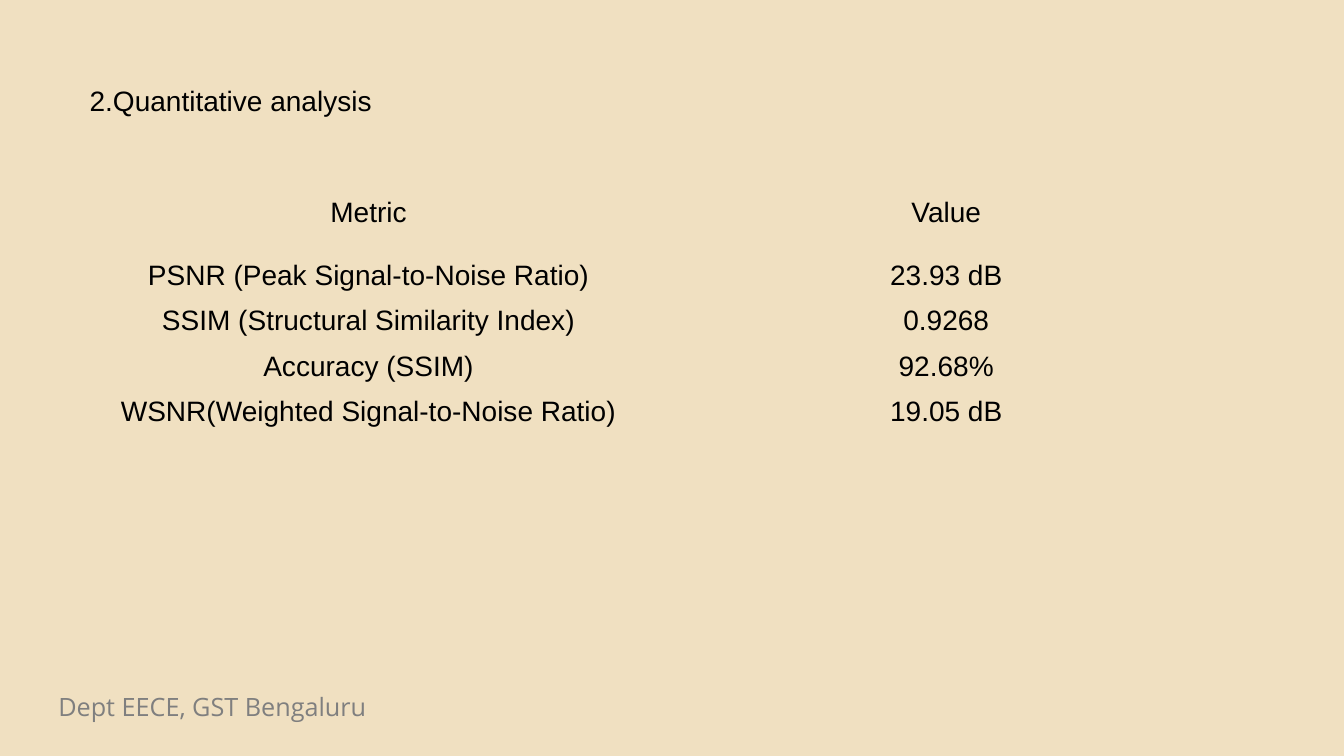
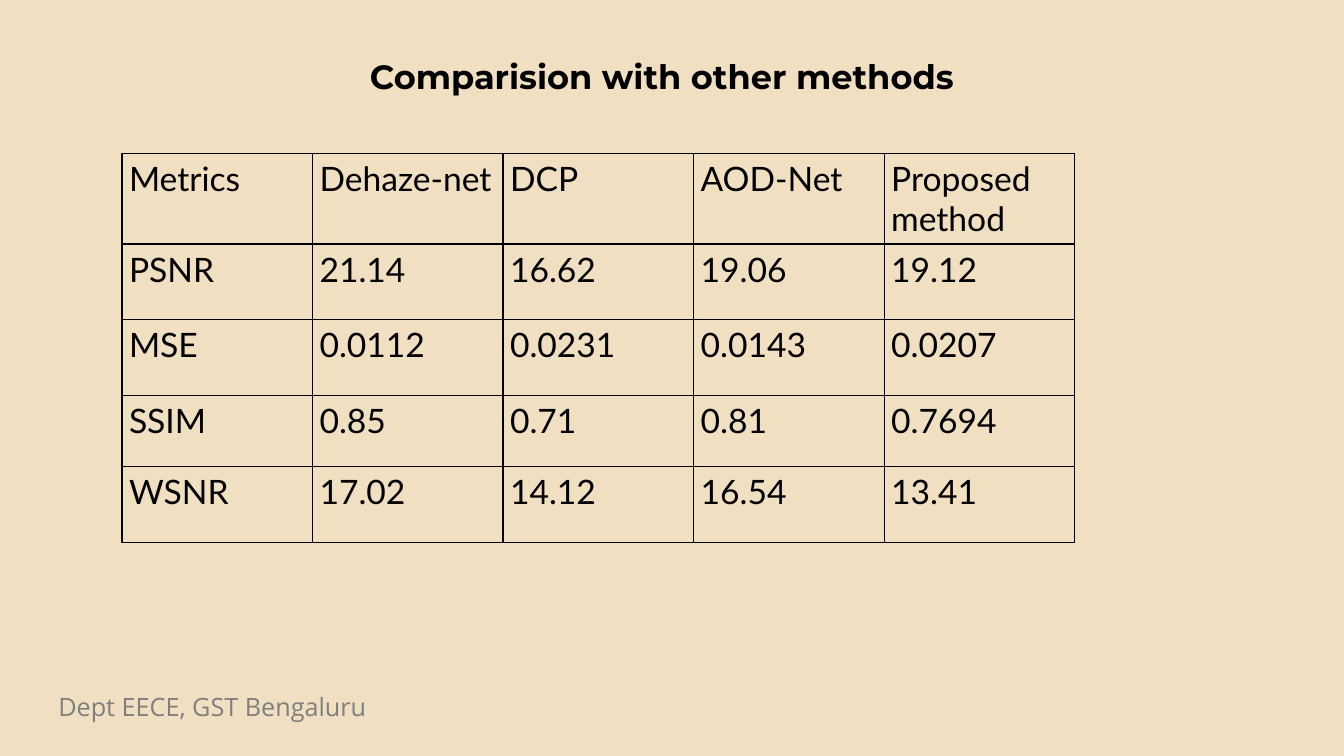
import lxml.etree
import pptx
import pptx.dml.color
import pptx.enum.text
import pptx.oxml.ns
import pptx.util
from pptx.util import Inches

COLORS = {"background": "F0E0C1", "text": "000000", "footer": "7F7F7F"}
BORDER_TAGS = ("a:lnL", "a:lnR", "a:lnT", "a:lnB")
LEFT = pptx.enum.text.PP_ALIGN.LEFT
CENTER = pptx.enum.text.PP_ALIGN.CENTER

QUANTITATIVE_ROWS = [
    ("Metric", "Value"),
    ("PSNR (Peak Signal-to-Noise Ratio)", "23.93 dB"),
    ("SSIM (Structural Similarity Index)", "0.9268"),
    ("Accuracy (SSIM)", "92.68%"),
    ("WSNR(Weighted Signal-to-Noise Ratio)", "19.05 dB"),
]
COMPARISON_ROWS = [
    ("Metrics", "Dehaze-net", "DCP", "AOD-Net", "Proposed method"),
    ("PSNR", "21.14", "16.62", "19.06", "19.12"),
    ("MSE", "0.0112", "0.0231", "0.0143", "0.0207"),
    ("SSIM", "0.85", "0.71", "0.81", "0.7694"),
    ("WSNR", "17.02", "14.12", "16.54", "13.41"),
]


def write_text(text_frame, text, font_name, size, color="text", bold=False,
               alignment=LEFT):
    """Fill a text frame with one formatted paragraph."""
    text_frame.text = text
    paragraph = text_frame.paragraphs[0]
    paragraph.alignment = alignment
    font = paragraph.runs[0].font
    font.name = font_name
    font.size = pptx.util.Pt(size)
    font.bold = bold
    font.color.rgb = pptx.dml.color.RGBColor.from_string(COLORS[color])


def add_text(slide, box, text, font_name, size, **style):
    """Place a one-line text box; box is left, top, width, height in inches."""
    shape = slide.shapes.add_textbox(*map(Inches, box))
    shape.text_frame.word_wrap = True
    write_text(shape.text_frame, text, font_name, size, **style)


def set_cell_borders(cell, border_width):
    """Draw all four borders, or hide them when the width is zero."""
    qualified = pptx.oxml.ns.qn
    properties = cell._tc.get_or_add_tcPr()
    for position, tag in enumerate(BORDER_TAGS):
        line = lxml.etree.Element(qualified(tag))
        line.set("w", str(int(pptx.util.Pt(border_width))))
        if border_width:
            fill = lxml.etree.SubElement(line, qualified("a:solidFill"))
            color = lxml.etree.SubElement(fill, qualified("a:srgbClr"))
            color.set("val", COLORS["text"])
        else:
            lxml.etree.SubElement(line, qualified("a:noFill"))
        properties.insert(position, line)


def add_table(slide, left, top, column_width, row_heights, rows, font_name,
              size, vertical_margin=0, border_width=0, alignment=LEFT):
    """Place an unfilled table with equal columns."""
    column_count = len(rows[0])
    frame = slide.shapes.add_table(
        len(rows), column_count, Inches(left), Inches(top),
        Inches(column_width * column_count), Inches(sum(row_heights)))
    table = frame.table
    table.first_row = False
    table.horz_banding = False
    for column in table.columns:
        column.width = Inches(column_width)
    for row, height, values in zip(table.rows, row_heights, rows):
        row.height = Inches(height)
        for cell, value in zip(row.cells, values):
            cell.margin_left = cell.margin_right = Inches(0.07)
            cell.margin_top = cell.margin_bottom = Inches(vertical_margin)
            cell.fill.background()
            set_cell_borders(cell, border_width)
            write_text(cell.text_frame, value, font_name, size,
                       alignment=alignment)


def add_slide(presentation):
    """Add a blank slide with the shared footer."""
    slide = presentation.slides.add_slide(presentation.slide_layouts[6])
    add_text(slide, (0.48, 6.81, 5.24, 0.4), "Dept EECE, GST Bengaluru",
             "Open Sans", 18, color="footer")
    return slide


def build_quantitative_slide(presentation):
    slide = add_slide(presentation)
    # Heading
    add_text(slide, (0.79, 0.78, 5.41, 0.44), "2.Quantitative analysis",
             "Arial", 20)
    # Metric values
    add_table(slide, 0.79, 1.96, 5.73, [0.62] + [0.45] * 4,
              QUANTITATIVE_ROWS, "Arial", 20, alignment=CENTER)


def build_comparison_slide(presentation):
    slide = add_slide(presentation)
    # Heading
    add_text(slide, (3.57, 0.51, 7.59, 0.5), "Comparision with other methods",
             "Montserrat", 24, bold=True)
    # Methods side by side
    add_table(slide, 1.21, 1.52, 1.89, [0.75, 0.75, 0.75, 0.71, 0.75],
              COMPARISON_ROWS, "Lato", 24, vertical_margin=0.05,
              border_width=1)


def main():
    presentation = pptx.Presentation()
    presentation.slide_width = Inches(13.33)
    presentation.slide_height = Inches(7.5)
    # Background shared by all slides
    background = presentation.slide_master.background.fill
    background.solid()
    background.fore_color.rgb = pptx.dml.color.RGBColor.from_string(
        COLORS["background"])
    build_quantitative_slide(presentation)
    build_comparison_slide(presentation)
    presentation.save("out.pptx")


if __name__ == "__main__":
    main()
